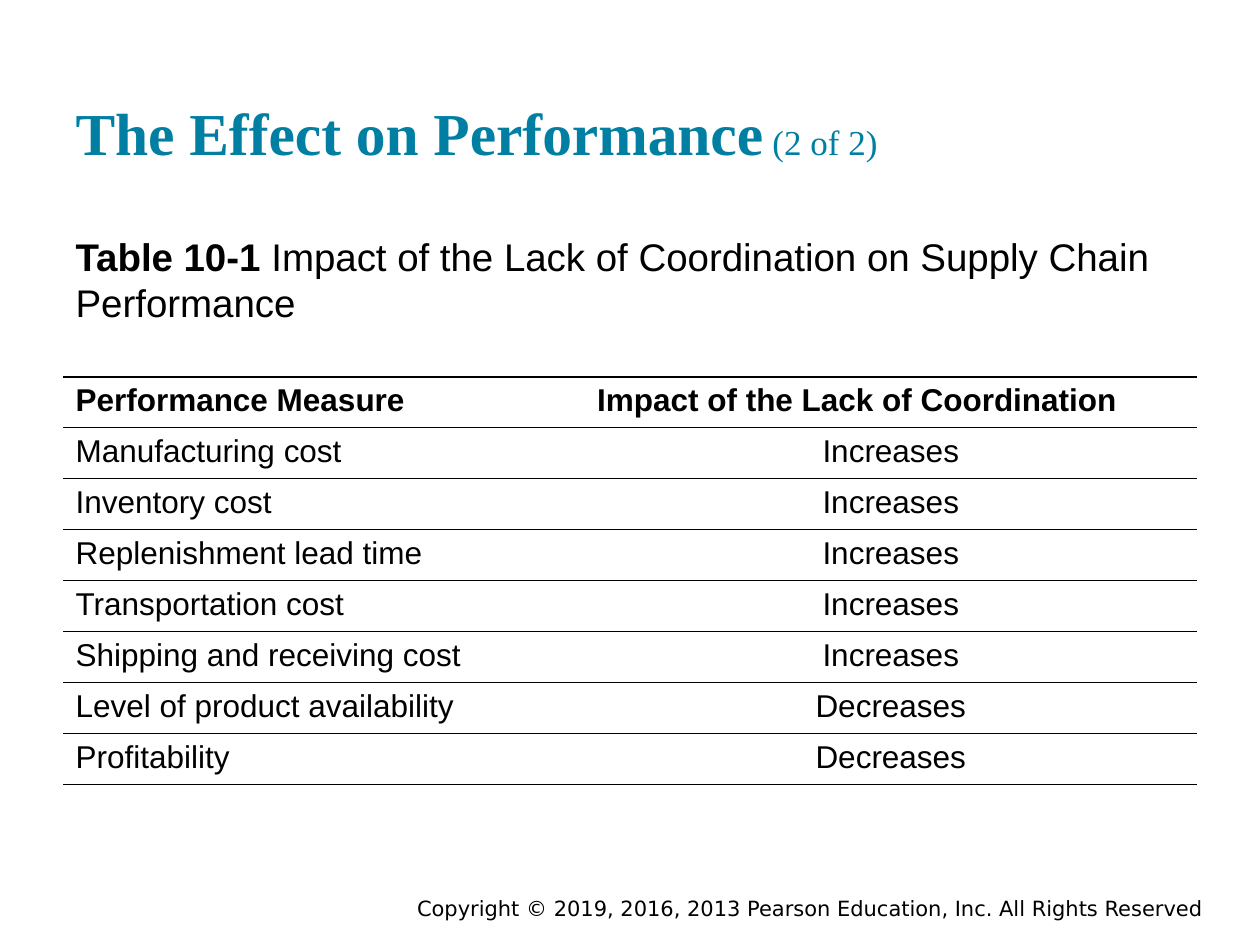
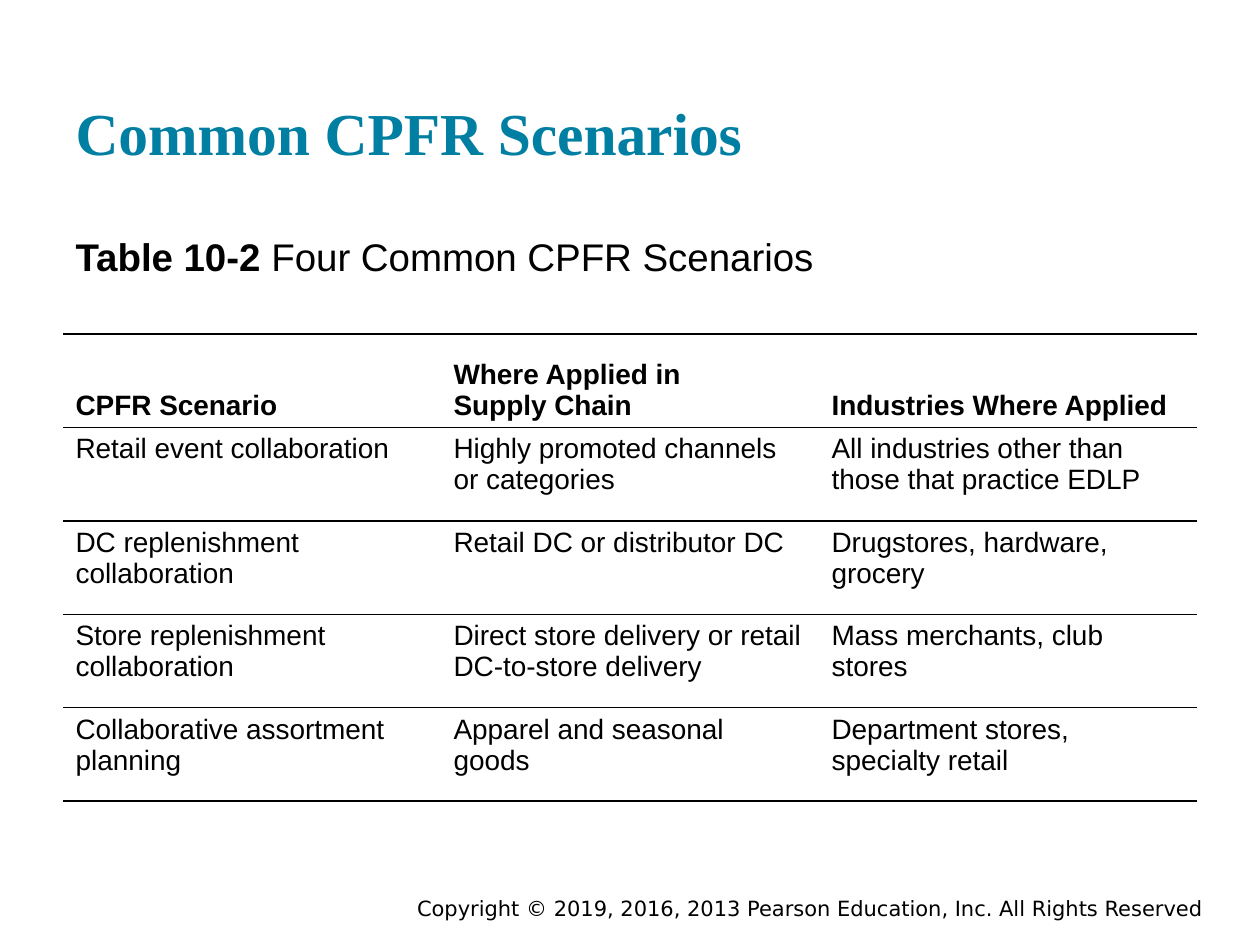
from lxml.etree import SubElement
from pptx import Presentation
from pptx.dml.color import RGBColor
from pptx.enum.text import MSO_ANCHOR as Anchor, MSO_AUTO_SIZE as AutoSize, PP_ALIGN as Align
from pptx.oxml.ns import qn
from pptx.util import Inches, Pt

TEAL = RGBColor(0x00, 0x7F, 0xA3)
BLACK = RGBColor(0x00, 0x00, 0x00)
TITLE_FONT, BODY_FONT, FOOTER_FONT = "Times New Roman", "Arial", "DejaVu Sans"
LEFT, WIDTH = 0.5, 9
TITLE_BOX = (LEFT, 0.66, WIDTH, 0.77)
FOOTER_BOX = (3, 7.08, 6.65, 0.25)
COPYRIGHT = "Copyright © 2019, 2016, 2013 Pearson Education, Inc. All Rights Reserved"

PERFORMANCE_ROWS = [
    ("Performance Measure", "Impact of the Lack of Coordination"),
    ("Manufacturing cost", "Increases"),
    ("Inventory cost", "Increases"),
    ("Replenishment lead time", "Increases"),
    ("Transportation cost", "Increases"),
    ("Shipping and receiving cost", "Increases"),
    ("Level of product availability", "Decreases"),
    ("Profitability", "Decreases"),
]
SCENARIO_ROWS = [
    ("CPFR Scenario", "Where Applied in\nSupply Chain", "Industries Where Applied"),
    ("Retail event collaboration", "Highly promoted channels or categories",
     "All industries other than those that practice EDLP"),
    ("DC replenishment collaboration", "Retail DC or distributor DC",
     "Drugstores, hardware, grocery"),
    ("Store replenishment collaboration", "Direct store delivery or retail DC-to-store delivery",
     "Mass merchants, club stores"),
    ("Collaborative assortment planning", "Apparel and seasonal goods",
     "Department stores, specialty retail"),
]


def add_run(paragraph, text, font, size, color=BLACK, bold=False):
    """Append one formatted run to a paragraph."""
    run = paragraph.add_run()
    run.text = text
    run.font.name, run.font.size, run.font.bold = font, Pt(size), bold
    run.font.color.rgb = color


def prepare_text(shape, box, anchor, align=Align.LEFT, inset=0.1):
    """Place a text shape in its box and return its first paragraph."""
    shape.left, shape.top, shape.width, shape.height = map(Inches, box)
    frame = shape.text_frame
    frame.word_wrap, frame.auto_size = True, AutoSize.NONE
    frame.vertical_anchor = anchor
    frame.margin_left = frame.margin_right = Inches(0.1)
    frame.margin_top = frame.margin_bottom = Inches(inset)
    paragraph = frame.paragraphs[0]
    paragraph.alignment = align
    paragraph.space_before = Pt(0)
    return paragraph


def add_title(slide, title, part):
    """Fill the title placeholder, with a lighter part number if given."""
    paragraph = prepare_text(slide.shapes.title, TITLE_BOX, Anchor.BOTTOM)
    add_run(paragraph, title, TITLE_FONT, 34, TEAL, bold=True)
    if part:
        add_run(paragraph, f" {part}", TITLE_FONT, 20, TEAL)


def add_caption(slide, label, caption, height):
    """Fill the body placeholder with the table's label and caption."""
    box = (LEFT, 1.75, WIDTH, height)
    paragraph = prepare_text(slide.placeholders[1], box, Anchor.TOP)
    properties = paragraph._p.get_or_add_pPr()
    properties.set("marL", "0")
    properties.set("indent", "0")
    SubElement(properties, qn("a:buNone"))
    add_run(paragraph, f"{label} ", BODY_FONT, 22, bold=True)
    add_run(paragraph, caption, BODY_FONT, 22)


def add_footer(slide):
    """Add the copyright line at the lower right."""
    shape = slide.shapes.add_textbox(*map(Inches, FOOTER_BOX))
    paragraph = prepare_text(shape, FOOTER_BOX, Anchor.MIDDLE, Align.RIGHT, inset=0)
    add_run(paragraph, COPYRIGHT, FOOTER_FONT, 12)


def rule_cell(cell):
    """Draw the lines above and below a cell and clear its sides and fill."""
    properties = cell._tc.get_or_add_tcPr()
    for side in ("lnL", "lnR"):
        SubElement(SubElement(properties, qn(f"a:{side}"), w="0"), qn("a:noFill"))
    for side in ("lnT", "lnB"):
        line = SubElement(properties, qn(f"a:{side}"), w=str(Pt(1)))
        fill = SubElement(line, qn("a:solidFill"))
        SubElement(fill, qn("a:srgbClr"), val=str(BLACK))
    cell.fill.background()


def add_ruled_table(slide, rows, box, widths, size, header_anchor, centered_columns=()):
    """Add a table with a bold header and horizontal lines only."""
    frame = slide.shapes.add_table(len(rows), len(widths), *map(Inches, box))
    table = frame.table
    table.horz_banding = False
    for column, width in zip(table.columns, widths):
        column.width = Inches(width)
    for row_index, row in enumerate(rows):
        header = row_index == 0
        for column_index, text in enumerate(row):
            cell = table.cell(row_index, column_index)
            rule_cell(cell)
            cell.vertical_anchor = header_anchor if header else Anchor.TOP
            paragraph = cell.text_frame.paragraphs[0]
            centered = column_index in centered_columns and not header
            paragraph.alignment = Align.CENTER if centered else Align.LEFT
            for line_index, line in enumerate(text.split("\n")):
                if line_index:
                    paragraph.add_line_break()
                add_run(paragraph, line, BODY_FONT, size, bold=header)


def add_table_slide(presentation, title, label, caption, caption_height, part=""):
    """Add a slide with title, table caption and footer."""
    slide = presentation.slides.add_slide(presentation.slide_layouts[1])
    add_title(slide, title, part)
    add_caption(slide, label, caption, caption_height)
    add_footer(slide)
    return slide


def main():
    """Build and save the presentation."""
    presentation = Presentation()
    presentation.slide_width, presentation.slide_height = Inches(10), Inches(7.5)

    performance = add_table_slide(
        presentation, "The Effect on Performance", "Table 10-1",
        "Impact of the Lack of Coordination on Supply Chain Performance", 0.92, "(2 of 2)")
    add_ruled_table(performance, PERFORMANCE_ROWS, (LEFT, 2.99, WIDTH, 3.24),
                    (4.14, 4.86), 18, Anchor.TOP, centered_columns=(1,))

    scenarios = add_table_slide(
        presentation, "Common CPFR Scenarios", "Table 10-2",
        "Four Common CPFR Scenarios", 0.58)
    add_ruled_table(scenarios, SCENARIO_ROWS, (LEFT, 2.65, WIDTH, 3.71),
                    (WIDTH / 3,) * 3, 16, Anchor.BOTTOM)

    presentation.save("out.pptx")


if __name__ == "__main__":
    main()
